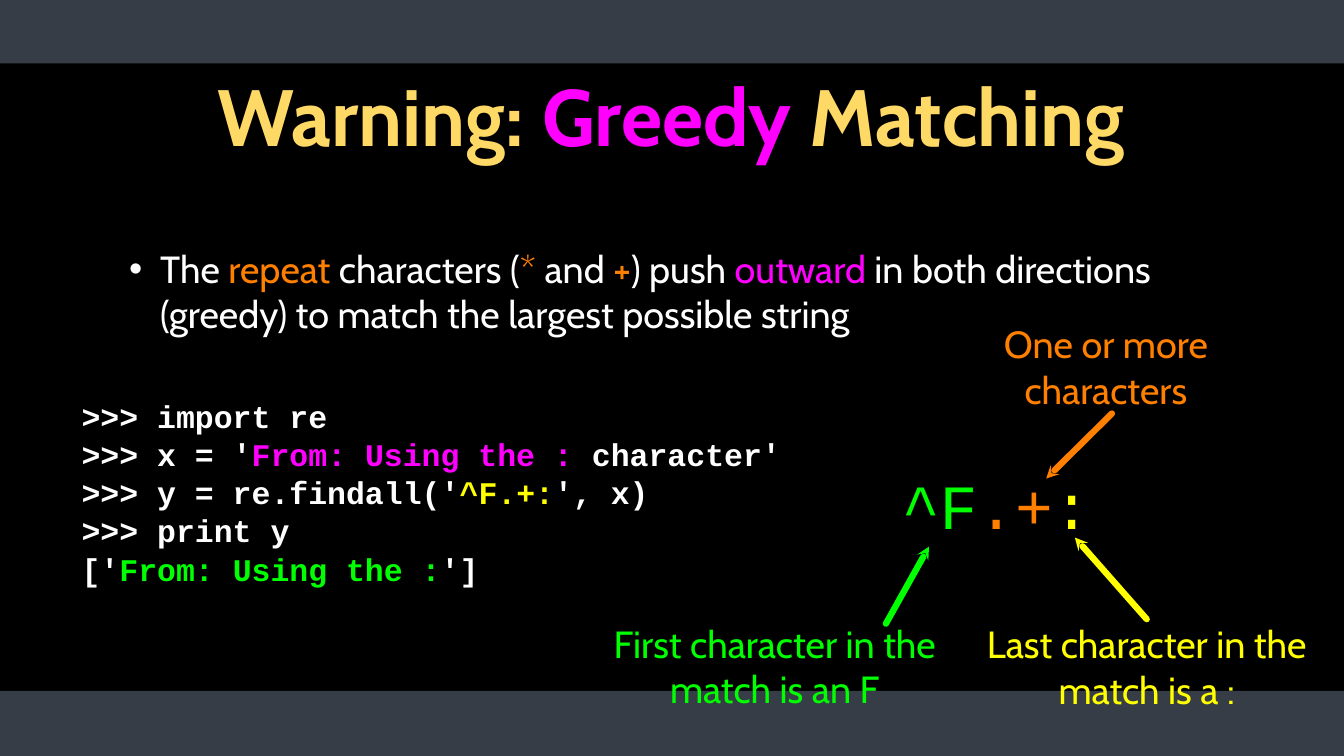
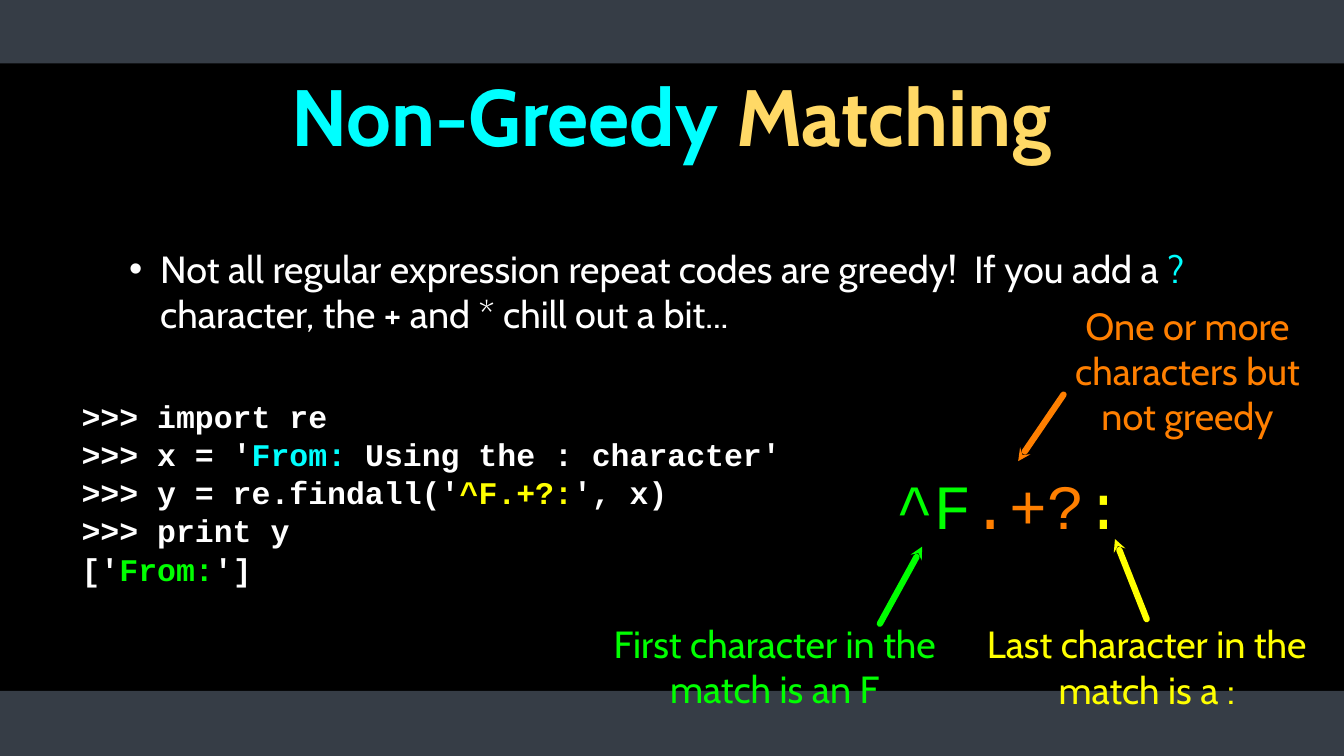
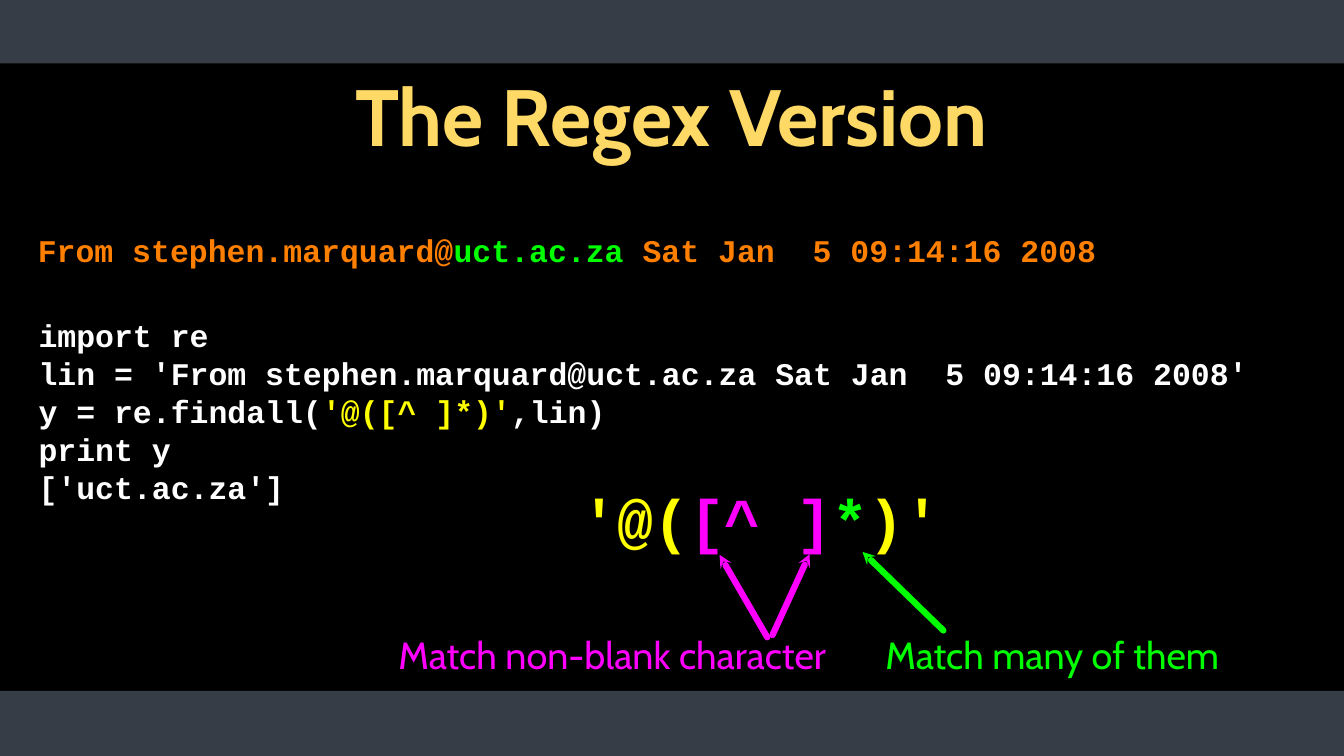
from dataclasses import dataclass

import pptx
import pptx.dml.color
import pptx.enum.shapes
import pptx.enum.text
import pptx.oxml
import pptx.oxml.ns
import pptx.presentation
import pptx.shapes.autoshape
import pptx.slide
import pptx.text.text
import pptx.util

RGBColor = pptx.dml.color.RGBColor
ALIGN = pptx.enum.text.PP_ALIGN

EMU_PER_PX = 9144  # 100 px to the inch
SLIDE_WIDTH, SLIDE_HEIGHT = 1778, 1000

BLACK = RGBColor(0x00, 0x00, 0x00)
WHITE = RGBColor(0xFF, 0xFF, 0xFF)
SLATE = RGBColor(0x36, 0x3D, 0x46)
GOLD = RGBColor(0xFF, 0xD9, 0x66)
MAGENTA = RGBColor(0xFF, 0x00, 0xFF)
ORANGE = RGBColor(0xFF, 0x7F, 0x00)
GREEN = RGBColor(0x00, 0xFF, 0x00)
YELLOW = RGBColor(0xFF, 0xFF, 0x00)
CYAN = RGBColor(0x00, 0xFF, 0xFF)

TEXT_FONT, CODE_FONT = "Cabin", "Courier New"
TEXT_SIZE, CODE_SIZE = 36, 30
CODE_LEADING = 1.21
ARROW_WIDTH = 6


@dataclass(frozen=True)
class Box:
    left: int
    top: int
    width: int
    height: int


@dataclass(frozen=True)
class Run:
    text: str
    color: RGBColor = WHITE


@dataclass(frozen=True)
class Callout:
    """A label with arrows, each given as (tip, tail)."""
    text: str
    color: RGBColor
    box: Box
    arrows: tuple[tuple[tuple[int, int], tuple[int, int]], ...]


@dataclass(frozen=True)
class MatchingSlide:
    title: list[Run]
    bullet: list[Run]
    code: list[list[Run]]
    pattern: list[Run]
    pattern_box: Box
    callouts: list[Callout]


BANDS = (Box(0, 0, SLIDE_WIDTH, 84), Box(0, 914, SLIDE_WIDTH, 86))
TITLE_BOX = Box(126, 26, 1524, 251)
BULLET_BOX = Box(126, 285, 1524, 200)
CODE_BOX = Box(108, 503, 1097, 296)
FIRST_BOX = Box(797, 818, 456, 125)
LAST_BOX = Box(1289, 819, 456, 125)
LAST_TAIL = (1517, 819)


def px(length: int) -> pptx.util.Emu:
    return pptx.util.Emu(length * EMU_PER_PX)


def frame(box: Box) -> tuple[pptx.util.Emu, ...]:
    return px(box.left), px(box.top), px(box.width), px(box.height)


def add_bullet(paragraph: pptx.text.text._Paragraph) -> None:
    properties = paragraph._p.get_or_add_pPr()
    properties.set("marL", str(px(82)))
    properties.set("indent", str(px(-41)))
    namespace = pptx.oxml.ns.nsdecls("a")
    for markup in (
        f'<a:buClr {namespace}><a:srgbClr val="{WHITE}"/></a:buClr>',
        f'<a:buFont {namespace} typeface="Arial"/>',
        f'<a:buChar {namespace} char="•"/>',
    ):
        properties.append(pptx.oxml.parse_xml(markup))


def add_text(
    slide: pptx.slide.Slide,
    box: Box,
    lines: list[list[Run]],
    *,
    font: str = TEXT_FONT,
    size: int = TEXT_SIZE,
    bold: bool = False,
    align: ALIGN = ALIGN.LEFT,
    margin: int = 0,
    leading: float | None = None,
    bullet: bool = False,
) -> pptx.shapes.autoshape.Shape:
    shape = slide.shapes.add_textbox(*frame(box))
    text_frame = shape.text_frame
    text_frame.word_wrap = True
    text_frame.vertical_anchor = pptx.enum.text.MSO_ANCHOR.MIDDLE
    for side in ("left", "top", "right", "bottom"):
        setattr(text_frame, f"margin_{side}", px(margin))
    for index, line in enumerate(lines):
        paragraph = text_frame.add_paragraph() if index else text_frame.paragraphs[0]
        paragraph.alignment = align
        if leading:
            paragraph.line_spacing = pptx.util.Pt(size * leading)
        if bullet:
            add_bullet(paragraph)
        for part in line:
            run = paragraph.add_run()
            run.text = part.text
            run.font.name = font
            run.font.size = pptx.util.Pt(size)
            run.font.bold = bold
            run.font.color.rgb = part.color
    return shape


def add_code(slide: pptx.slide.Slide, box: Box, lines: list[list[Run]],
             size: int = CODE_SIZE, bold: bool = True) -> None:
    add_text(slide, box, lines, font=CODE_FONT, size=size, bold=bold,
             leading=CODE_LEADING)


def add_callout(slide: pptx.slide.Slide, callout: Callout) -> None:
    box = callout.box
    label = add_text(slide, box, [[Run(callout.text, callout.color)]],
                     align=ALIGN.CENTER)
    top_middle = (box.left + box.width // 2, box.top)
    for tip, tail in callout.arrows:
        connector = slide.shapes.add_connector(
            pptx.enum.shapes.MSO_CONNECTOR.STRAIGHT,
            px(tip[0]), px(tip[1]), px(tail[0]), px(tail[1]))
        if tail == top_middle:
            connector.end_connect(label, 0)
        connector.line.color.rgb = callout.color
        connector.line.width = pptx.util.Pt(ARROW_WIDTH)
        namespace = pptx.oxml.ns.nsdecls("a")
        line = connector.line._get_or_add_ln()
        line.set("cap", "rnd")
        line.append(pptx.oxml.parse_xml(
            f'<a:headEnd {namespace} type="stealth" w="sm" len="sm"/>'))
        connector._element.spPr.append(
            pptx.oxml.parse_xml(f"<a:effectLst {namespace}/>"))


def add_slide(presentation: pptx.presentation.Presentation,
              title: list[Run]) -> pptx.slide.Slide:
    """Add a blank slide with the shared background, bands and title."""
    slide = presentation.slides.add_slide(presentation.slide_layouts[6])
    slide.background.fill.solid()
    slide.background.fill.fore_color.rgb = BLACK
    for box in BANDS:
        band = slide.shapes.add_shape(
            pptx.enum.shapes.MSO_SHAPE.RECTANGLE, *frame(box))
        band.fill.solid()
        band.fill.fore_color.rgb = SLATE
        band.line.fill.background()
        band.shadow.inherit = False
    add_text(slide, TITLE_BOX, [title], size=76, bold=True,
             align=ALIGN.CENTER, margin=4)
    return slide


def session(source: list[Run], regex: str, result: str) -> list[list[Run]]:
    """Lines of the interpreter session that tries a regex on a string."""
    return [
        [Run(">>> import re")],
        [Run(">>> x = '"), *source],
        [Run(">>> y = re.findall('"), Run(regex, YELLOW), Run("', x)")],
        [Run(">>> print y")],
        [Run("['"), Run(result, GREEN), Run("']")],
    ]


def pattern(repeat: str) -> list[Run]:
    return [Run("^F", GREEN), Run(repeat, ORANGE), Run(":", YELLOW)]


def match_callouts(repeat: Callout, first_tip: tuple[int, int],
                   first_tail: tuple[int, int],
                   last_tip: tuple[int, int]) -> list[Callout]:
    return [
        repeat,
        Callout("First character in the match is an F", GREEN, FIRST_BOX,
                ((first_tip, first_tail),)),
        Callout("Last character in the match is a :", YELLOW, LAST_BOX,
                ((last_tip, LAST_TAIL),)),
    ]


MATCHING_SLIDES = [
    MatchingSlide(
        title=[Run("Warning: ", GOLD), Run("Greedy", MAGENTA), Run(" Matching", GOLD)],
        bullet=[
            Run("The "), Run("repeat", ORANGE), Run(" characters ("),
            Run("*", ORANGE), Run(" and "), Run("+", ORANGE), Run(") push "),
            Run("outward", MAGENTA),
            Run(" in both directions (greedy) to match the largest possible string"),
        ],
        code=session([Run("From: Using the :", MAGENTA), Run(" character'")],
                     "^F.+:", "From: Using the :"),
        pattern=pattern(".+"),
        pattern_box=Box(1193, 610, 283, 112),
        callouts=match_callouts(
            Callout("One or more characters", ORANGE, Box(1286, 422, 354, 125),
                    (((1384, 633), (1471, 547)),)),
            first_tip=(1229, 723), first_tail=(1172, 825), last_tip=(1422, 711)),
    ),
    MatchingSlide(
        title=[Run("Non-Greedy", CYAN), Run(" Matching", GOLD)],
        bullet=[
            Run("Not all regular expression repeat codes are greedy!  If you add a "),
            Run("?", CYAN), Run(" character, the + and * chill out a bit..."),
        ],
        code=session([Run("From: ", CYAN), Run("Using the : character'")],
                     "^F.+?:", "From:"),
        pattern=pattern(".+?"),
        pattern_box=Box(1185, 610, 324, 112),
        callouts=match_callouts(
            Callout("One or more characters but not greedy", ORANGE,
                    Box(1394, 399, 354, 182), (((1347, 610), (1407, 522)),)),
            first_tip=(1220, 723), first_tail=(1164, 825), last_tip=(1475, 713)),
    ),
]


def add_matching_slide(presentation: pptx.presentation.Presentation,
                       content: MatchingSlide) -> None:
    slide = add_slide(presentation, content.title)
    add_text(slide, BULLET_BOX, [content.bullet], margin=4, bullet=True)
    add_code(slide, CODE_BOX, content.code)
    add_code(slide, content.pattern_box, [content.pattern], size=60, bold=False)
    for callout in content.callouts:
        add_callout(slide, callout)


def add_regex_slide(presentation: pptx.presentation.Presentation) -> None:
    slide = add_slide(presentation, [Run("The Regex Version", GOLD)])
    add_code(slide, Box(769, 637, 480, 96), [[
        Run("'@(", YELLOW), Run("[^ ]", MAGENTA), Run("*", GREEN), Run(")'", YELLOW),
    ]], size=57)
    add_callout(slide, Callout(
        "Match non-blank character", MAGENTA, Box(475, 831, 670, 68),
        (((952, 734), (1015, 843)), ((1071, 733), (1022, 840)))))
    add_callout(slide, Callout(
        "Match many of them", GREEN, Box(1123, 831, 538, 68),
        (((1141, 730), (1248, 834)),)))
    add_code(slide, Box(50, 294, 1693, 74), [[
        Run("From stephen.marquard@", ORANGE), Run("uct.ac.za", GREEN),
        Run(" Sat Jan  5 09:14:16 2008", ORANGE),
    ]])
    add_code(slide, Box(51, 420, 1724, 247), [
        [Run("import re")],
        [Run("lin = 'From stephen.marquard@uct.ac.za Sat Jan  5 09:14:16 2008'")],
        [Run("y = re.findall("), Run("'@([^ ]*)'", YELLOW), Run(",lin)")],
        [Run("print y")],
        [Run("['uct.ac.za']")],
    ])


def main() -> None:
    presentation = pptx.Presentation()
    presentation.slide_width = px(SLIDE_WIDTH)
    presentation.slide_height = px(SLIDE_HEIGHT)
    for content in MATCHING_SLIDES:
        add_matching_slide(presentation, content)
    add_regex_slide(presentation)
    presentation.save("out.pptx")


if __name__ == "__main__":
    main()
